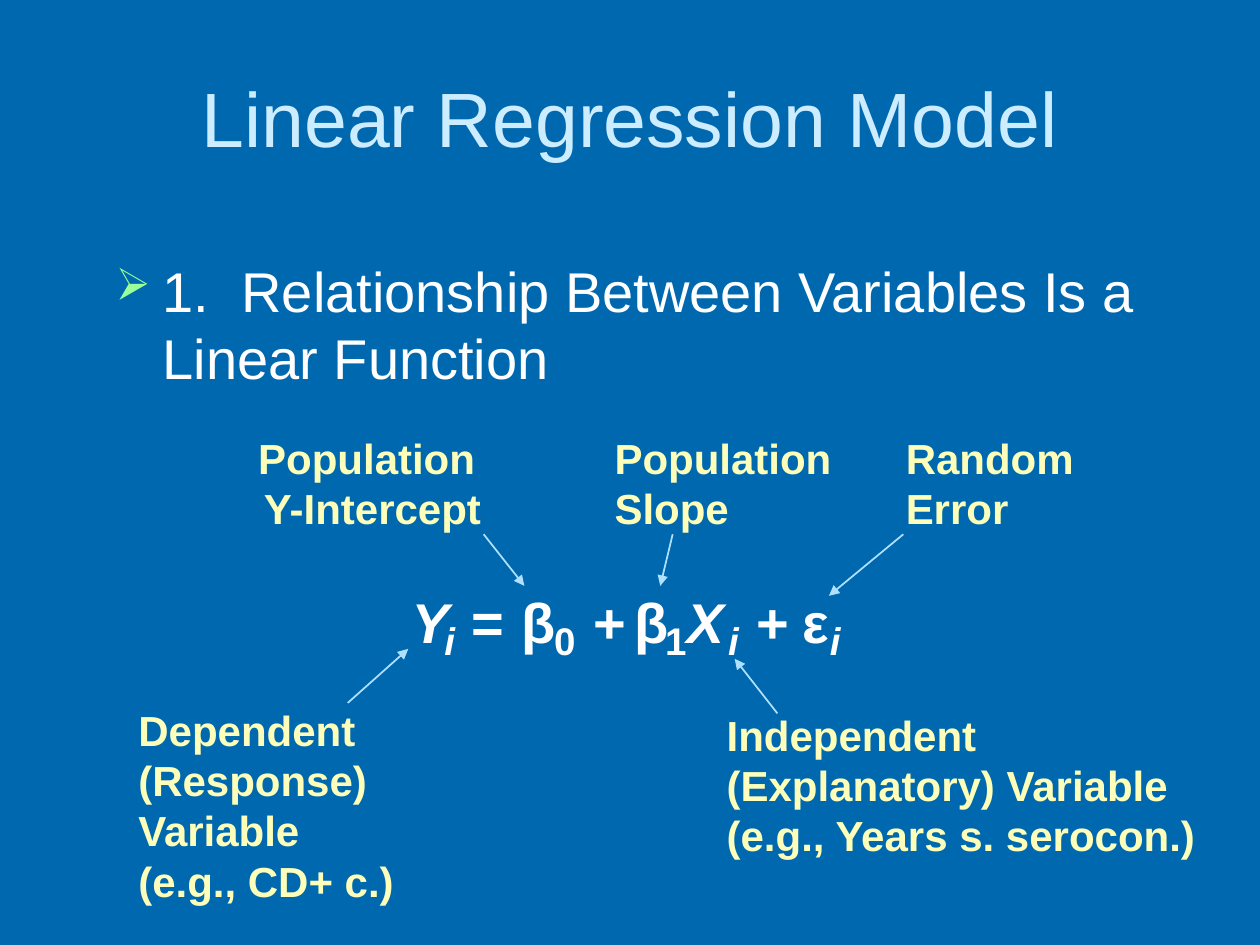
from lxml.etree import SubElement as Sub
from pptx import Presentation
from pptx.dml.color import RGBColor as Rgb
from pptx.enum.shapes import MSO_CONNECTOR as Conn
from pptx.enum.text import MSO_ANCHOR as Anchor, PP_ALIGN as Align
from pptx.oxml.ns import qn
from pptx.util import Cm, Pt

COLORS = {
    "back": "0068AE",
    "title": "CCECFF",
    "text": "FFFFFF",
    "bullet": "99FF99",
    "label": "FCFEB9",
    "arrow": "AFE1FF",
}

deck = Presentation()
deck.slide_width, deck.slide_height = Cm(25.4), Cm(19.05)
slide = deck.slides.add_slide(deck.slide_layouts[6])
slide.background.fill.solid()
slide.background.fill.fore_color.rgb = Rgb.from_string(COLORS["back"])


def write(text, box, size=32, color="text", bold=False, italic=False,
          align=Align.LEFT, anchor=Anchor.TOP, wrap=True, bullet=None):
    frame = slide.shapes.add_textbox(*map(Cm, box)).text_frame
    frame.word_wrap = wrap
    frame.vertical_anchor = anchor
    para = frame.paragraphs[0]
    para.text = text
    para.alignment = align
    if bullet:
        props = para._p.get_or_add_pPr()
        props.set("marL", str(Cm(0.95)))
        props.set("indent", str(-Cm(0.95)))
        tint = Sub(props, qn("a:buClr"))
        Sub(tint, qn("a:srgbClr"), val=COLORS["bullet"])
        Sub(props, qn("a:buSzPct"), val="80000")
        Sub(props, qn("a:buChar"), char=bullet)
        tabs = Sub(props, qn("a:tabLst"))
        Sub(tabs, qn("a:tab"), pos=str(Cm(2.54)), algn="l")
    for font in [para.font] + [run.font for run in para.runs]:
        font.name = "Arial"
        font.size = Pt(size)
        font.bold = bold
        font.italic = italic
        font.color.rgb = Rgb.from_string(COLORS[color])


# Title and statement
write("Linear Regression Model", (1.27, 0.76, 22.86, 3.18), size=44,
      color="title", align=Align.CENTER, anchor=Anchor.MIDDLE)
write("1.\tRelationship Between Variables Is a Linear Function",
      (2.08, 5.05, 21.82, 11.71), bullet="➢")

# Equation: symbol, left, width, italic
terms = [
    ("Y", 8.05, 1.27, True),
    ("=", 9.25, 1.4, False),
    ("β", 10.26, 1.12, False),
    ("+", 11.71, 1.17, False),
    ("β", 12.55, 1.12, False),
    ("X", 13.59, 1.27, True),
    ("+", 15.01, 1.17, False),
    ("ε", 15.93, 0.99, False),
]
subs = [
    ("i", 8.71, 0.71, True),
    ("0", 10.92, 0.94, False),
    ("1", 13.16, 0.94, False),
    ("i", 14.43, 0.71, True),
    ("i", 16.48, 0.71, True),
]
for row, top, high, size in [(terms, 11.71, 1.6, 32), (subs, 12.32, 1.17, 22)]:
    for sign, left, wide, slant in row:
        write(sign, (left, top, wide, high), size=size, bold=True,
              italic=slant, wrap=False)

# Labels around the equation
labels = [
    ("Population \nY-Intercept", (4.45, 8.59, 6.12, 2.29), Align.CENTER),
    ("Population Slope", (12.14, 8.59, 5, 2.29), Align.LEFT),
    ("Random Error", (18.01, 8.59, 4.42, 2.29), Align.LEFT),
    ("Dependent (Response) Variable\n(e.g., CD+ c.)",
     (2.54, 14.07, 6.12, 4.32), Align.LEFT),
    ("Independent (Explanatory) Variable \n(e.g., Years s. serocon.)",
     (14.4, 14.17, 10.36, 3.3), Align.LEFT),
]
for text, box, align in labels:
    write(text, box, size=24, color="label", bold=True, align=align)

# Arrows from each label to its term
arrows = [
    (7.01, 14.17, 8.23, 13.08),
    (15.67, 14.38, 14.81, 13.28),
    (9.75, 10.77, 10.57, 11.81),
    (13.56, 10.77, 13.31, 11.81),
    (18.21, 10.77, 16.71, 12.01),
]
for ends in arrows:
    arrow = slide.shapes.add_connector(Conn.STRAIGHT, *map(Cm, ends))
    arrow.line.width = Pt(1)
    arrow.line.color.rgb = Rgb.from_string(COLORS["arrow"])
    Sub(arrow.line._get_or_add_ln(), qn("a:tailEnd"), type="triangle")
    Sub(arrow._element.spPr, qn("a:effectLst"))

deck.save("out.pptx")
